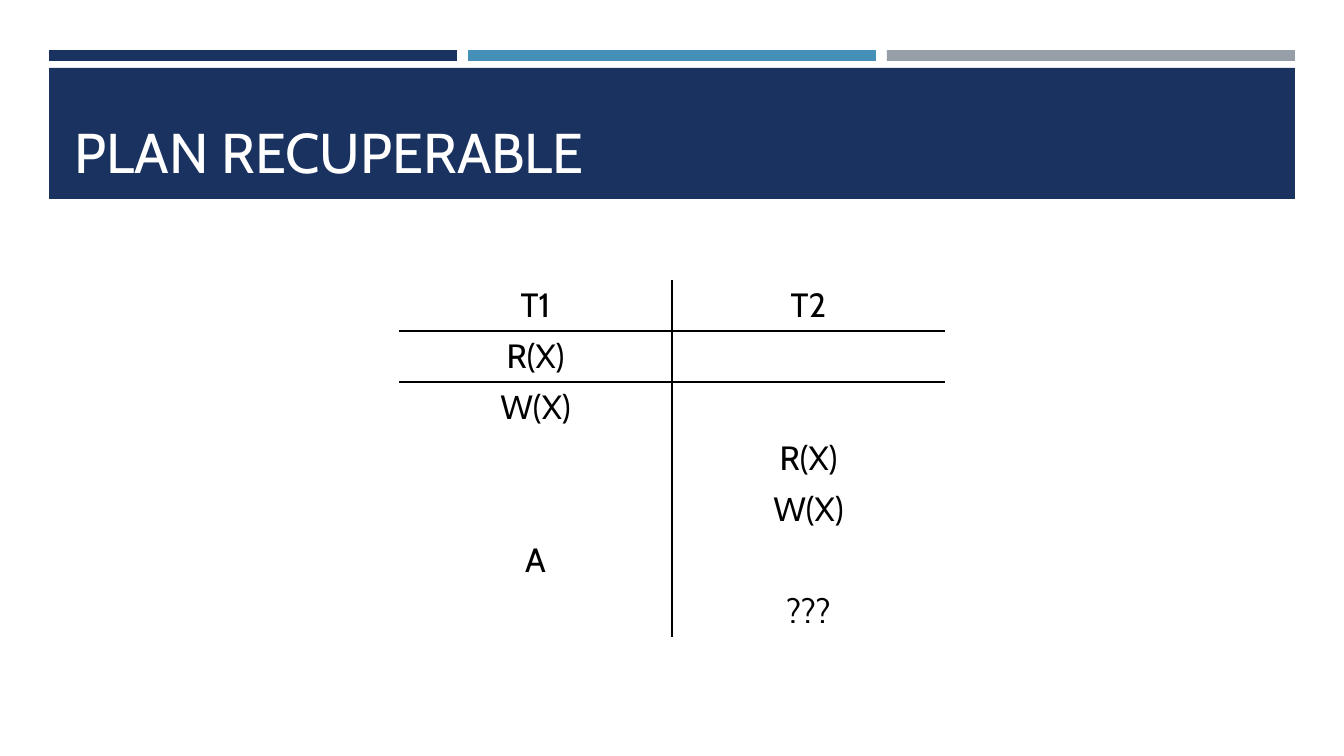
from lxml.etree import SubElement
from pptx import Presentation
from pptx.dml.color import RGBColor
from pptx.enum.shapes import MSO_SHAPE as Shape
from pptx.enum.text import MSO_ANCHOR as Anchor, PP_ALIGN as Align
from pptx.oxml.ns import qn
from pptx.util import Emu, Pt

SCALE = 914400 / 100.8
NAVY, BLUE, GRAY = "1A3260", "4590B8", "969FA7"
BLACK, WHITE = "000000", "FFFFFF"
PLAN = [
    ("T1", "T2"),
    ("R(X)", ""),
    ("W(X)", ""),
    ("", "R(X)"),
    ("", "W(X)"),
    ("A", ""),
    ("", "???"),
]
COLUMN_WIDTH, ROW_HEIGHT = 273, 51
RULED_ROWS = 2


def px(length):
    return Emu(round(length * SCALE))


def color(value):
    return RGBColor.from_string(value)


def write(frame, text, *, size, fill=BLACK, align=Align.LEFT):
    paragraph = frame.paragraphs[0]
    paragraph.alignment = align
    paragraph.font.size = Pt(size)
    if text:
        run = paragraph.add_run()
        run.text = text
        run.font.name = "Cabin"
        run.font.size = Pt(size)
        run.font.color.rgb = color(fill)


def add_bar(slide, left, top, width, height, fill):
    bar = slide.shapes.add_shape(Shape.RECTANGLE, px(left), px(top), px(width), px(height))
    bar.shadow.inherit = False
    bar.fill.solid()
    bar.fill.fore_color.rgb = color(fill)
    bar.line.fill.background()


def add_title(slide, text):
    box = slide.shapes.add_textbox(px(65), px(78), px(1216), px(112))
    box.text_frame.word_wrap = True
    box.text_frame.vertical_anchor = Anchor.BOTTOM
    write(box.text_frame, text, size=40, fill=WHITE)


def set_borders(cell, black_sides):
    properties = cell._tc.get_or_add_tcPr()
    for side in "LRTB":
        line = SubElement(properties, qn(f"a:ln{side}"), w=str(Pt(1)))
        if side in black_sides:
            solid = SubElement(line, qn("a:solidFill"))
            SubElement(solid, qn("a:srgbClr"), val=BLACK)
        else:
            SubElement(line, qn("a:noFill"))


def add_plan_table(slide, left, top):
    rows, columns = len(PLAN), len(PLAN[0])
    table = slide.shapes.add_table(
        rows, columns, px(left), px(top),
        px(columns * COLUMN_WIDTH), px(rows * ROW_HEIGHT),
    ).table
    table.first_row = table.horz_banding = False
    for column in table.columns:
        column.width = px(COLUMN_WIDTH)
    for row_index, texts in enumerate(PLAN):
        table.rows[row_index].height = px(ROW_HEIGHT)
        for column_index, text in enumerate(texts):
            cell = table.cell(row_index, column_index)
            # Centre divider, plus rules below the first two rows
            sides = "R" if column_index == 0 else "L"
            if row_index < RULED_ROWS:
                sides += "B"
            if 0 < row_index <= RULED_ROWS:
                sides += "T"
            set_borders(cell, sides)
            cell.fill.background()
            cell.vertical_anchor = Anchor.MIDDLE
            write(cell.text_frame, text, size=24, align=Align.CENTER)


def main():
    presentation = Presentation()
    presentation.slide_width, presentation.slide_height = px(1344), px(756)
    slide = presentation.slides.add_slide(presentation.slide_layouts[6])

    # Header band
    for index, fill in enumerate((NAVY, BLUE, GRAY)):
        add_bar(slide, 49 + index * 419, 50, 408, 11, fill)
    add_bar(slide, 49, 68, 1246, 131, NAVY)
    add_title(slide, "PLAN RECUPERABLE")

    # Transaction schedule
    add_plan_table(slide, 399, 280)

    presentation.save("out.pptx")


if __name__ == "__main__":
    main()
